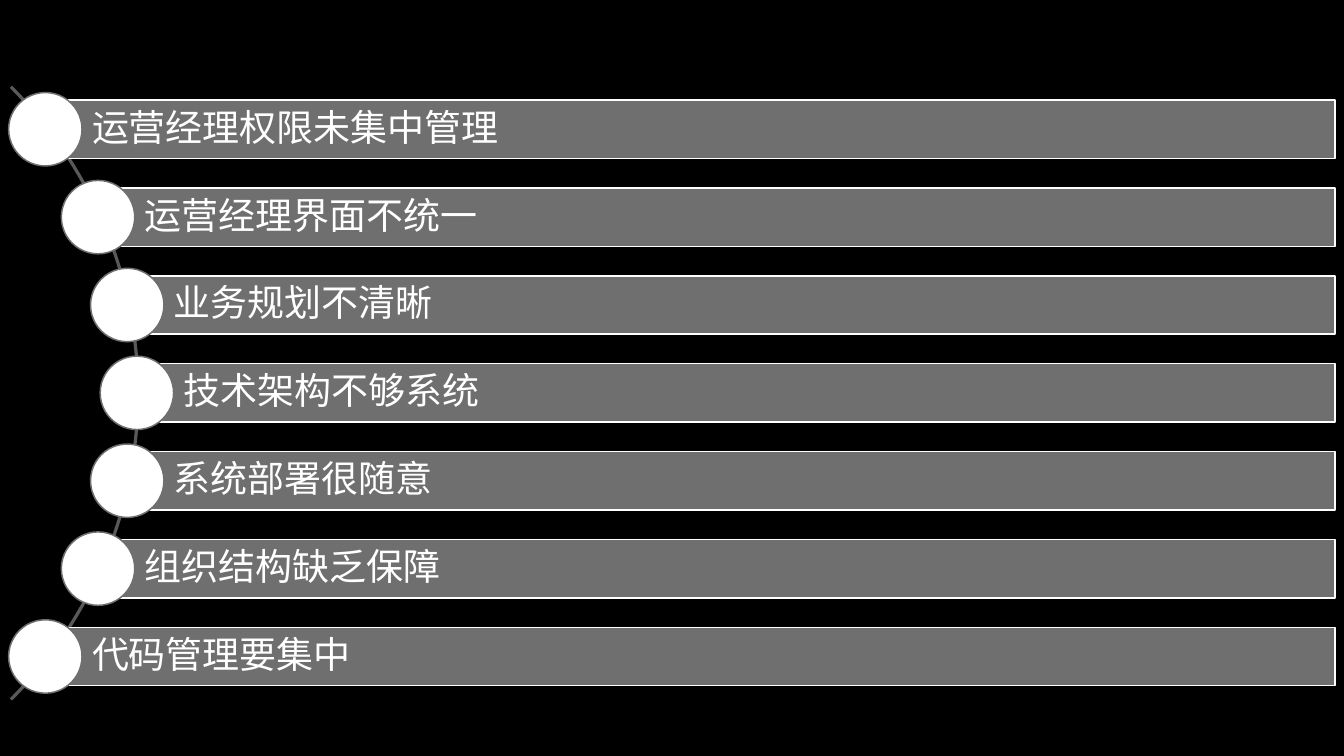
from lxml import etree
from pptx import Presentation
from pptx import util as u
from pptx.dml import color
from pptx.enum import shapes, text
from pptx.oxml import ns

COLOURS = {
    "background": "000000",
    "arc": "595959",
    "bar": "6F6F6F",
    "light": "FFFFFF",
}
ISSUES = [
    ("运营经理权限未集中管理", 1.6),
    ("运营经理界面不统一", 3.46),
    ("业务规划不清晰", 4.49),
    ("技术架构不够系统", 4.83),
    ("系统部署很随意", 4.49),
    ("组织结构缺乏保障", 3.46),
    ("代码管理要集中", 1.6),
]
FONT = "Quicksand"
FIRST_TOP, PITCH = 3.53, 3.1
BAR_HEIGHT, BAR_RIGHT = 2.06, 47.11
DOT_SIZE = 2.59
FRAME_FORMAT = {
    "margin_left": u.Cm(1.65),
    "margin_right": u.Cm(0.25),
    "margin_top": u.Cm(0.25),
    "margin_bottom": u.Cm(0.25),
    "vertical_anchor": text.MSO_ANCHOR.MIDDLE,
    "word_wrap": True,
}
PARAGRAPH_FORMAT = {"alignment": text.PP_ALIGN.LEFT, "line_spacing": 0.9}
FONT_FORMAT = {"name": FONT, "size": u.Pt(37)}


def rgb(name):
    return color.RGBColor.from_string(COLOURS[name])


def apply_format(target, values):
    for key, value in values.items():
        setattr(target, key, value)


def add_outlined(slide, kind, box, fill, line):
    outlined = slide.shapes.add_shape(kind, *(u.Cm(length) for length in box))
    outlined.shadow.inherit = False
    if fill:
        outlined.fill.solid()
        outlined.fill.fore_color.rgb = rgb(fill)
    else:
        outlined.fill.background()
    outlined.line.color.rgb = rgb(line)
    outlined.line.width = u.Pt(1.5)
    return outlined


def add_arc(slide):
    arc = add_outlined(slide, shapes.MSO_SHAPE.BLOCK_ARC,
                       (-25.68, -1.42, 30.58, 30.58), None, "arc")
    for index, value in enumerate((189, 27, 0.002)):
        arc.adjustments[index] = value


def add_bar(slide, issue, left, top):
    bar = add_outlined(slide, shapes.MSO_SHAPE.RECTANGLE,
                       (left, top, BAR_RIGHT - left, BAR_HEIGHT), "bar", "light")
    apply_format(bar.text_frame, FRAME_FORMAT)
    paragraph = bar.text_frame.paragraphs[0]
    apply_format(paragraph, PARAGRAPH_FORMAT)
    label = paragraph.add_run()
    label.text = issue
    apply_format(label.font, FONT_FORMAT)
    label.font.color.rgb = rgb("light")
    east_asian = etree.SubElement(label.font._element, ns.qn("a:ea"))
    east_asian.set("typeface", FONT)


def add_dot(slide, centre_x, centre_y):
    add_outlined(slide, shapes.MSO_SHAPE.OVAL,
                 (centre_x - DOT_SIZE / 2, centre_y - DOT_SIZE / 2,
                  DOT_SIZE, DOT_SIZE), "light", "bar")


def main():
    deck = Presentation()
    deck.slide_width, deck.slide_height = u.Cm(47.42), u.Cm(26.67)
    slide = deck.slides.add_slide(deck.slide_layouts[6])
    slide.background.fill.solid()
    slide.background.fill.fore_color.rgb = rgb("background")
    add_arc(slide)
    for row, (issue, left) in enumerate(ISSUES):
        top = FIRST_TOP + row * PITCH
        add_bar(slide, issue, left, top)
        add_dot(slide, left, top + BAR_HEIGHT / 2)
    deck.save("out.pptx")


if __name__ == "__main__":
    main()
